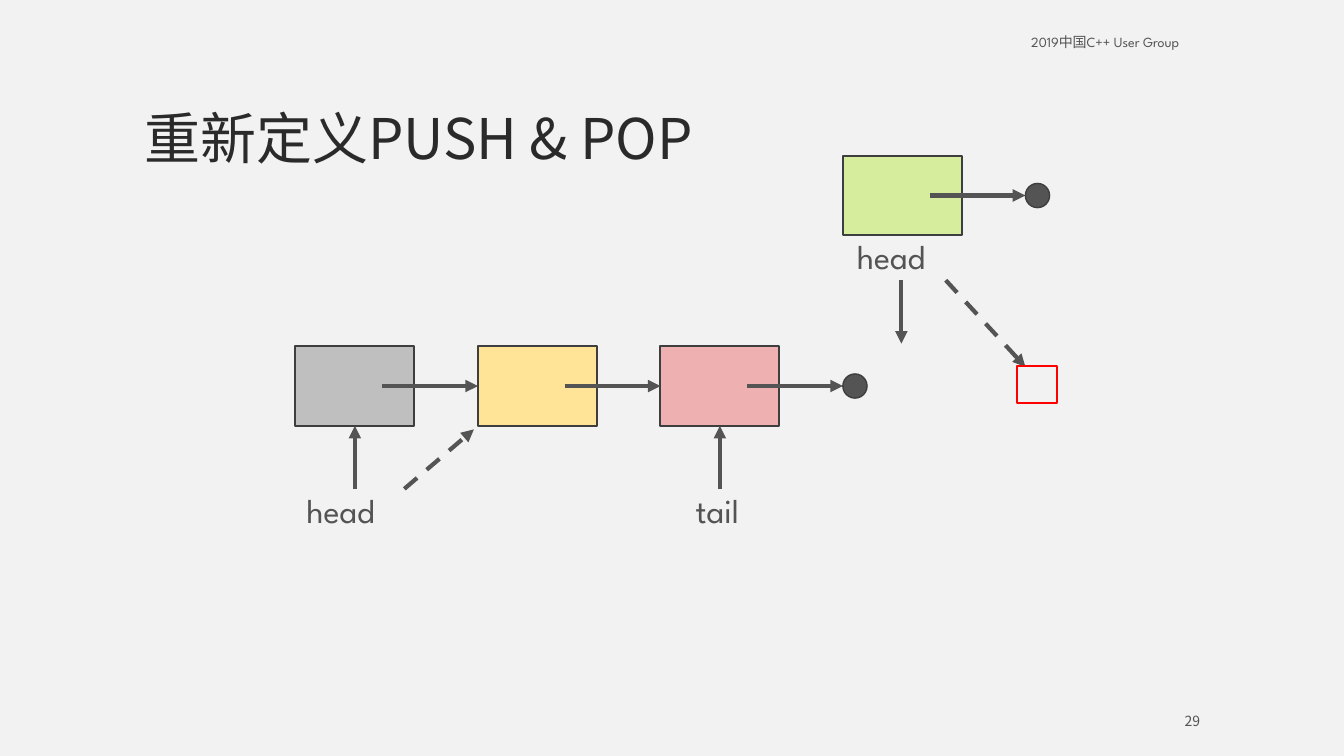
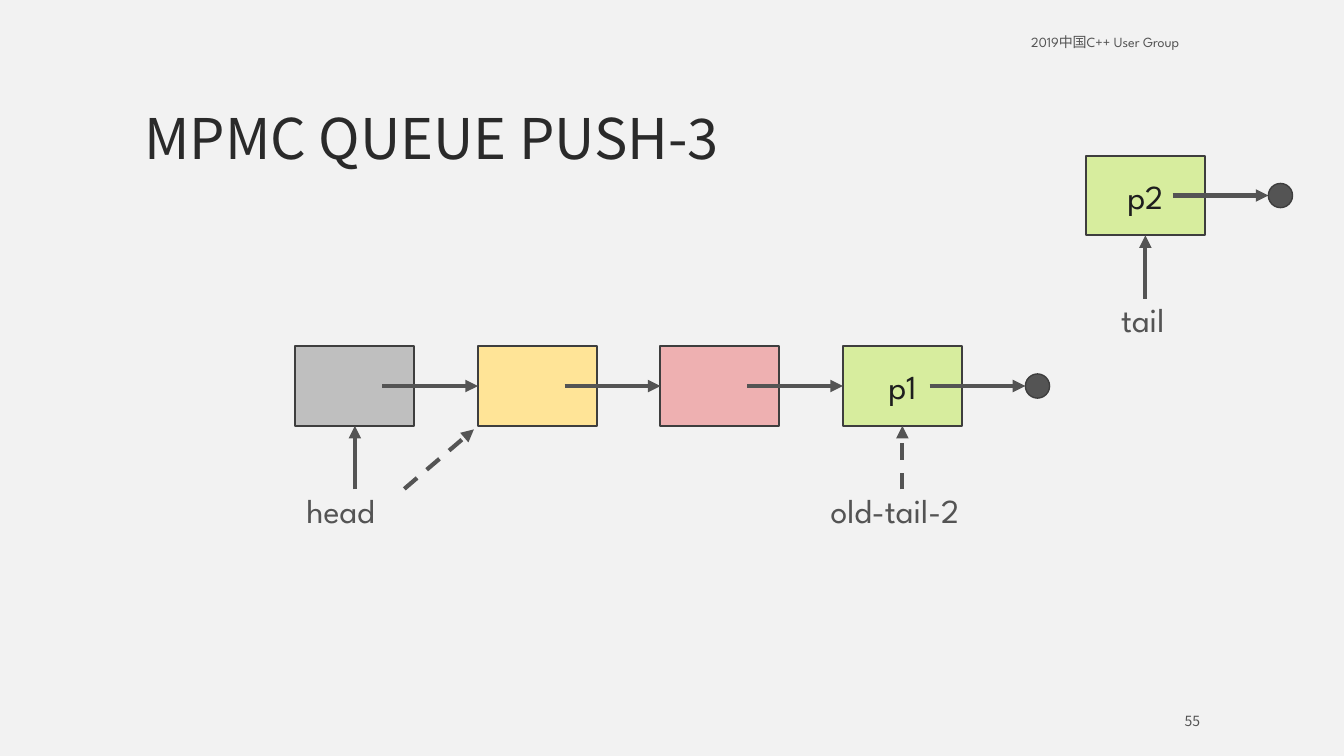
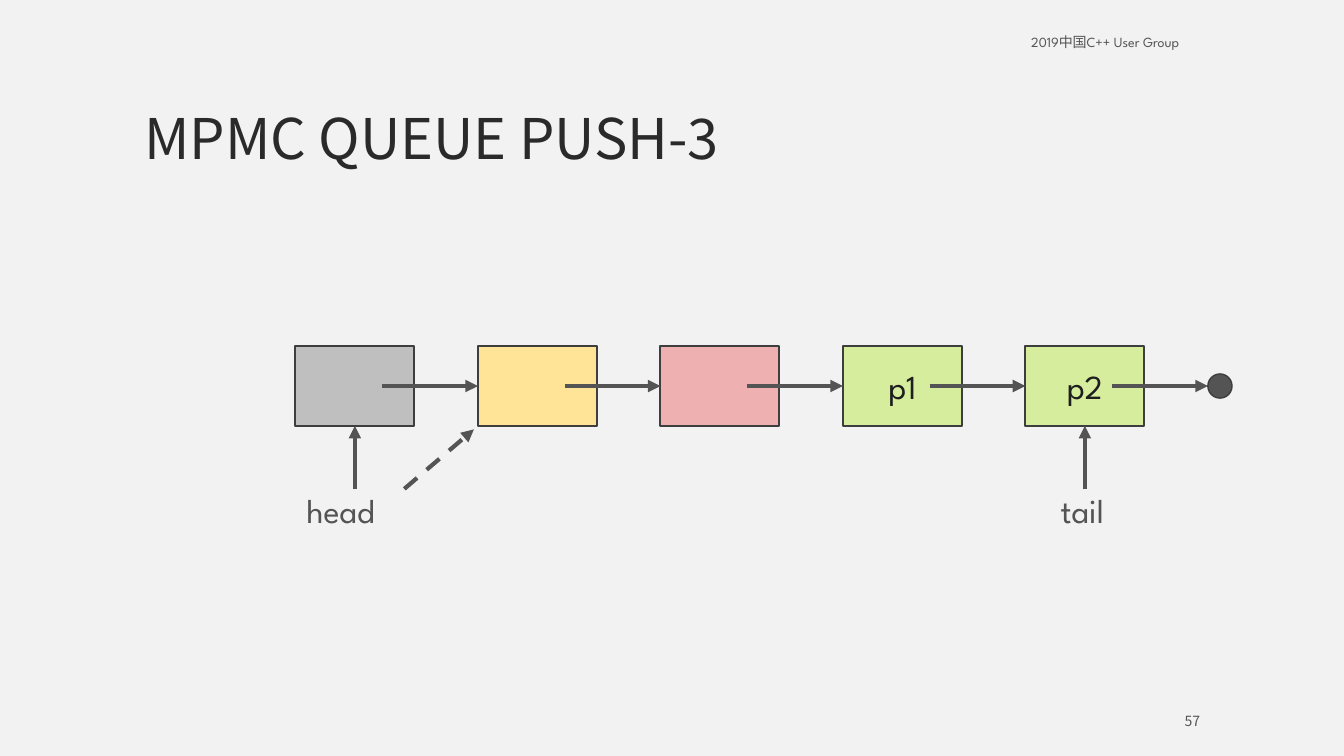
from pptx import Presentation
from pptx.dml.color import RGBColor
from pptx.enum.dml import MSO_LINE
from pptx.enum.shapes import MSO_CONNECTOR, MSO_SHAPE
from pptx.enum.text import MSO_ANCHOR, MSO_AUTO_SIZE, PP_ALIGN
from pptx.oxml.ns import qn
from pptx.util import Inches, Pt
from lxml import etree

RECT, OVAL = MSO_SHAPE.RECTANGLE, MSO_SHAPE.OVAL
STRAIGHT, DASH = MSO_CONNECTOR.STRAIGHT, MSO_LINE.DASH
TOP, MIDDLE, BOTTOM = MSO_ANCHOR.TOP, MSO_ANCHOR.MIDDLE, MSO_ANCHOR.BOTTOM
LEFT, CENTER, RIGHT = PP_ALIGN.LEFT, PP_ALIGN.CENTER, PP_ALIGN.RIGHT
NO_FIT = MSO_AUTO_SIZE.NONE

LATIN, CJK = "League Spartan", "Noto Sans CJK SC"
PAPER, INK, EDGE, TITLE, DARK = "F2F2F2", "545454", "3E3E3E", "2A2A2A", "1E1E1E"
GREY, YELLOW, PINK, GREEN, RED = "BFBFBF", "FFE497", "EEB0B1", "D7ED9E", "FF0000"

NODE_W, NODE_H, PITCH = 1.18, 0.79, 1.81
LINK_X, DOT, STEM = 0.86, 0.24, 0.63
ROW_X, ROW_Y, UPPER_Y = 2.93, 3.435, 1.545
# Label offset from the left edge of its node, and label width
LABELS = {"head": (0.01, 1.09), "tail": (0.25, 0.68), "old-tail-2": (-0.22, 1.61)}


def rgb(color):
    return RGBColor.from_string(color)


def write(sp, text, size, color, font=LATIN, align=LEFT, anchor=TOP, spacing=0.9):
    tf = sp.text_frame
    for name, value in dict(word_wrap=True, auto_size=NO_FIT, vertical_anchor=anchor).items():
        setattr(tf, name, value)
    p = tf.paragraphs[0]
    p.alignment, p.line_spacing = align, spacing
    r = p.add_run()
    r.text = text
    for name, value in dict(size=Pt(size), name=font, bold=False).items():
        setattr(r.font, name, value)
    r.font.color.rgb = rgb(color)
    ea = etree.SubElement(r.font._element, qn("a:ea"))
    ea.set("typeface", CJK)


def add_text(slide, x, y, w, h, text, size, **style):
    sp = slide.shapes.add_textbox(Inches(x), Inches(y), Inches(w), Inches(h))
    write(sp, text, size, INK, **style)


def add_box(slide, kind, x, y, w, h, fill=None, line=EDGE, weight=1.5):
    sp = slide.shapes.add_shape(kind, Inches(x), Inches(y), Inches(w), Inches(h))
    sp.shadow.inherit = False
    if fill:
        sp.fill.solid()
        sp.fill.fore_color.rgb = rgb(fill)
    else:
        sp.fill.background()
    sp.line.color.rgb = rgb(line)
    sp.line.width = Pt(weight)
    return sp


def add_arrow(slide, x1, y1, x2, y2, dashed=False):
    cn = slide.shapes.add_connector(STRAIGHT, Inches(x1), Inches(y1), Inches(x2), Inches(y2))
    cn.line.color.rgb = rgb(INK)
    cn.line.width = Pt(3)
    if dashed:
        cn.line.dash_style = DASH
    ln = cn.line._get_or_add_ln()
    etree.SubElement(ln, qn("a:tailEnd")).set("type", "triangle")
    etree.SubElement(cn._element.spPr, qn("a:effectLst"))


def add_chain(slide, x, y, nodes):
    """Draw linked (fill, label) nodes from left to right, ended by a dot."""
    mid = y + NODE_H / 2
    for fill, label in nodes:
        sp = add_box(slide, RECT, x, y, NODE_W, NODE_H, fill)
        if label:
            write(sp, label, 24, DARK, align=CENTER, anchor=MIDDLE, spacing=1.0)
        x += PITCH
    for i in range(len(nodes), 0, -1):
        start = x - i * PITCH
        add_arrow(slide, start + LINK_X, mid, start + PITCH, mid)
    add_box(slide, OVAL, x, mid - DOT / 2, DOT, DOT, INK, weight=1)


def add_label(slide, text, node_x, y):
    dx, w = LABELS[text]
    add_text(slide, node_x + dx, y, w, 0.46, text, 24)


def add_marker(slide, text, node_x, node_y, dashed=False):
    """Put a label below a node, with an arrow up to the node."""
    x, bottom = node_x + NODE_W / 2, node_y + NODE_H
    add_arrow(slide, x, bottom + STEM, x, bottom, dashed)
    add_label(slide, text, node_x, bottom + STEM)


def add_queue_slide(prs, title, number, extra_nodes=()):
    """Start a slide with its title, header, number and main queue."""
    slide = prs.slides.add_slide(prs.slide_layouts[5])
    sp = slide.shapes.title
    for name, value in dict(left=1.33, top=0.3, width=10.67, height=1.45).items():
        setattr(sp, name, Inches(value))
    write(sp, title, 40, TITLE, font=CJK, anchor=BOTTOM)
    add_text(slide, 10.13, 0.3, 1.87, 0.25, "2019中国C++ User Group", 10)
    add_text(slide, 10.75, 7.05, 1.25, 0.2, number, 10, font=CJK,
             align=RIGHT, anchor=MIDDLE, spacing=1.0)
    add_chain(slide, ROW_X, ROW_Y, [(GREY, ""), (YELLOW, ""), (PINK, ""), *extra_nodes])
    add_marker(slide, "head", ROW_X, ROW_Y)
    add_arrow(slide, 4.01, 4.85, 4.7, 4.26, dashed=True)
    return slide


def node_x(index):
    return ROW_X + index * PITCH


def main():
    prs = Presentation()
    prs.slide_width, prs.slide_height = Inches(13.33), Inches(7.5)
    fill = prs.slide_master.background.fill
    fill.solid()
    fill.fore_color.rgb = rgb(PAPER)
    p1, p2 = (GREEN, "p1"), (GREEN, "p2")

    slide = add_queue_slide(prs, "重新定义PUSH & POP", "29")
    add_marker(slide, "tail", node_x(2), ROW_Y)
    add_chain(slide, node_x(3), UPPER_Y, [(GREEN, "")])
    add_label(slide, "head", node_x(3) + 0.03, 2.34)
    add_arrow(slide, 8.94, 2.78, 8.94, 3.41)
    add_arrow(slide, 9.38, 2.78, 10.17, 3.64, dashed=True)
    add_box(slide, RECT, 10.09, 3.63, 0.39, 0.37, line=RED)

    slide = add_queue_slide(prs, "MPMC QUEUE PUSH-3", "55", [p1])
    add_marker(slide, "old-tail-2", node_x(3), ROW_Y, dashed=True)
    add_chain(slide, 10.77, UPPER_Y, [p2])
    add_marker(slide, "tail", 10.77, UPPER_Y)

    slide = add_queue_slide(prs, "MPMC QUEUE PUSH-3", "57", [p1, p2])
    add_marker(slide, "tail", node_x(4), ROW_Y)

    prs.save("out.pptx")


if __name__ == "__main__":
    main()
